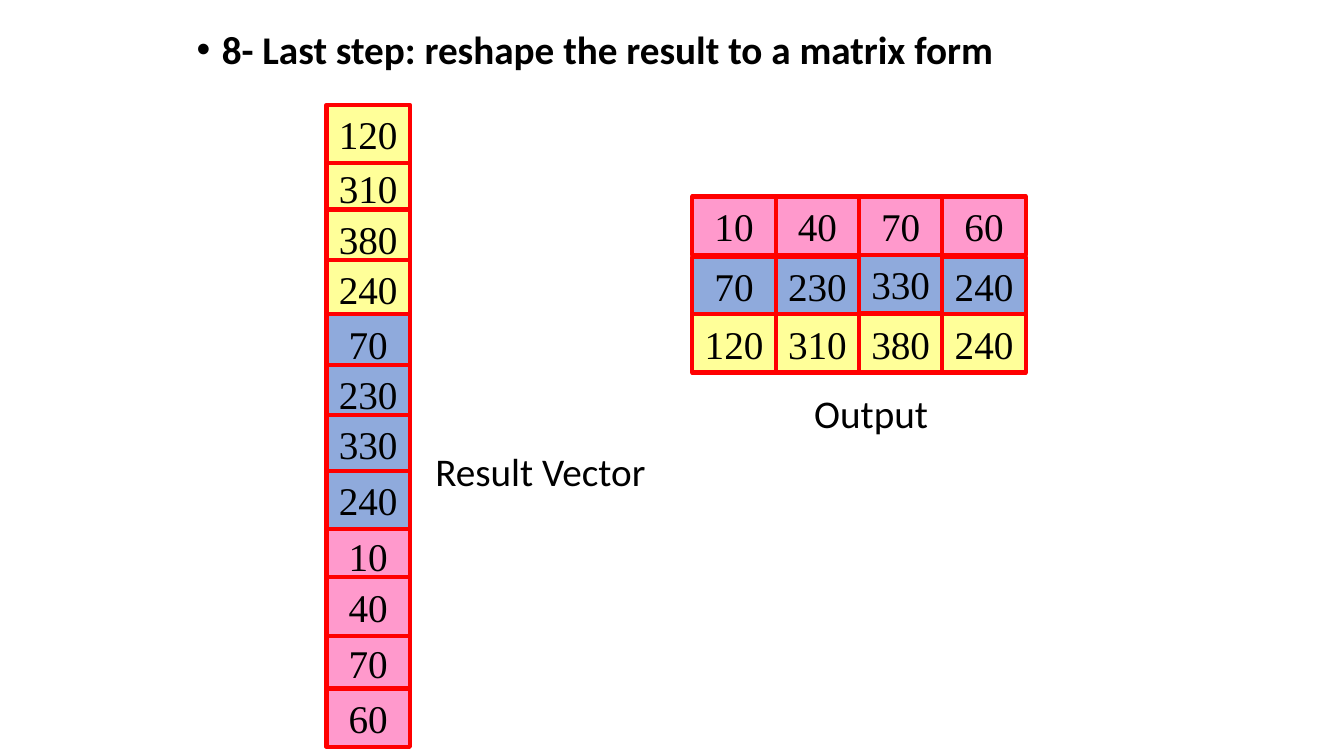
from dataclasses import dataclass

from pptx import Presentation
from pptx.dml.color import RGBColor
from pptx.enum.shapes import MSO_SHAPE
from pptx.enum.text import MSO_ANCHOR as ANCHOR, MSO_AUTO_SIZE as AUTOSIZE, PP_ALIGN as ALIGN
from pptx.util import Cm, Pt


@dataclass(frozen=True)
class Theme:
    text: str = "000000"
    border: str = "FF0000"
    yellow: str = "FFFF99"
    blue: str = "8FAADC"
    pink: str = "FF99CC"
    body_font: str = "Calibri"
    number_font: str = "Times New Roman"
    size: int = 28
    border_width: int = 3


class Deck:
    def __init__(self, prs, theme):
        self.theme = theme
        self.slide = prs.slides.add_slide(prs.slide_layouts[1])
        title = self.slide.shapes.title
        title.element.getparent().remove(title.element)

    def style(self, p, font, bold=False):
        for r in p.runs:
            r.font.name = font
            r.font.size = Pt(self.theme.size)
            r.font.bold = bold
            r.font.color.rgb = RGBColor.from_string(self.theme.text)

    def bullet(self, text, x, y, w, h):
        sp = self.slide.placeholders[1]
        sp.left, sp.top, sp.width, sp.height = Cm(x), Cm(y), Cm(w), Cm(h)
        tf = sp.text_frame
        tf.text = text
        tf.auto_size = AUTOSIZE.NONE
        p = tf.paragraphs[0]
        p.line_spacing = 0.9
        p.space_before = Pt(10)
        pPr = p._p.get_or_add_pPr()
        pPr.set("marL", str(Cm(0.635)))
        pPr.set("indent", str(-Cm(0.635)))
        self.style(p, self.theme.body_font, bold=True)

    def label(self, text, x, y, w, h):
        tf = self.slide.shapes.add_textbox(Cm(x), Cm(y), Cm(w), Cm(h)).text_frame
        tf.text = text
        tf.word_wrap = False
        tf.auto_size = AUTOSIZE.SHAPE_TO_FIT_TEXT
        self.style(tf.paragraphs[0], self.theme.body_font)

    def cell(self, value, fill, x, y):
        sp = self.slide.shapes.add_shape(
            MSO_SHAPE.RECTANGLE, Cm(x), Cm(y), Cm(CELL_W), Cm(CELL_H))
        sp.shadow.inherit = False
        sp.fill.solid()
        sp.fill.fore_color.rgb = RGBColor.from_string(fill)
        sp.line.color.rgb = RGBColor.from_string(self.theme.border)
        sp.line.width = Pt(self.theme.border_width)
        tf = sp.text_frame
        tf.text = str(value)
        tf.word_wrap = False
        tf.vertical_anchor = ANCHOR.MIDDLE
        p = tf.paragraphs[0]
        p.alignment = ALIGN.CENTER
        self.style(p, self.theme.number_font)


CELL_W, CELL_H = 2.1, 1.47
VECTOR_X = 8.23
VECTOR_TOPS = [2.64, 4.01, 5.28, 6.55, 7.92, 9.19, 10.46, 11.86, 13.28, 14.55, 15.98, 17.35]
STACKING = [1, 2, 3, 4, 5, 6, 10, 8, 9, 0, 7, 11]
MATRIX_X = 17.45
MATRIX_TOPS = [4.95, 6.48, 7.92]
NUDGES = {(1, 2): -0.05}


def main():
    theme = Theme()
    rows = [
        (theme.pink, [10, 40, 70, 60]),
        (theme.blue, [70, 230, 330, 240]),
        (theme.yellow, [120, 310, 380, 240]),
    ]
    prs = Presentation()
    prs.slide_width, prs.slide_height = Cm(33.87), Cm(19.05)
    deck = Deck(prs, theme)

    deck.bullet("8- Last step: reshape the result to a matrix form", 4.7, 0.64, 24.84, 1.45)

    vector = [(value, fill) for fill, values in reversed(rows) for value in values]
    for i in STACKING:
        deck.cell(*vector[i], VECTOR_X, VECTOR_TOPS[i])
    deck.label("Result Vector", 10.72, 11.15, 6.22, 1.45)

    for i, (fill, values) in enumerate(rows):
        for j, value in enumerate(values):
            y = MATRIX_TOPS[i] + NUDGES.get((i, j), 0)
            deck.cell(value, fill, MATRIX_X + j * CELL_W, y)
    deck.label("Output", 20.27, 9.68, 3.48, 1.45)

    prs.save("out.pptx")


if __name__ == "__main__":
    main()
